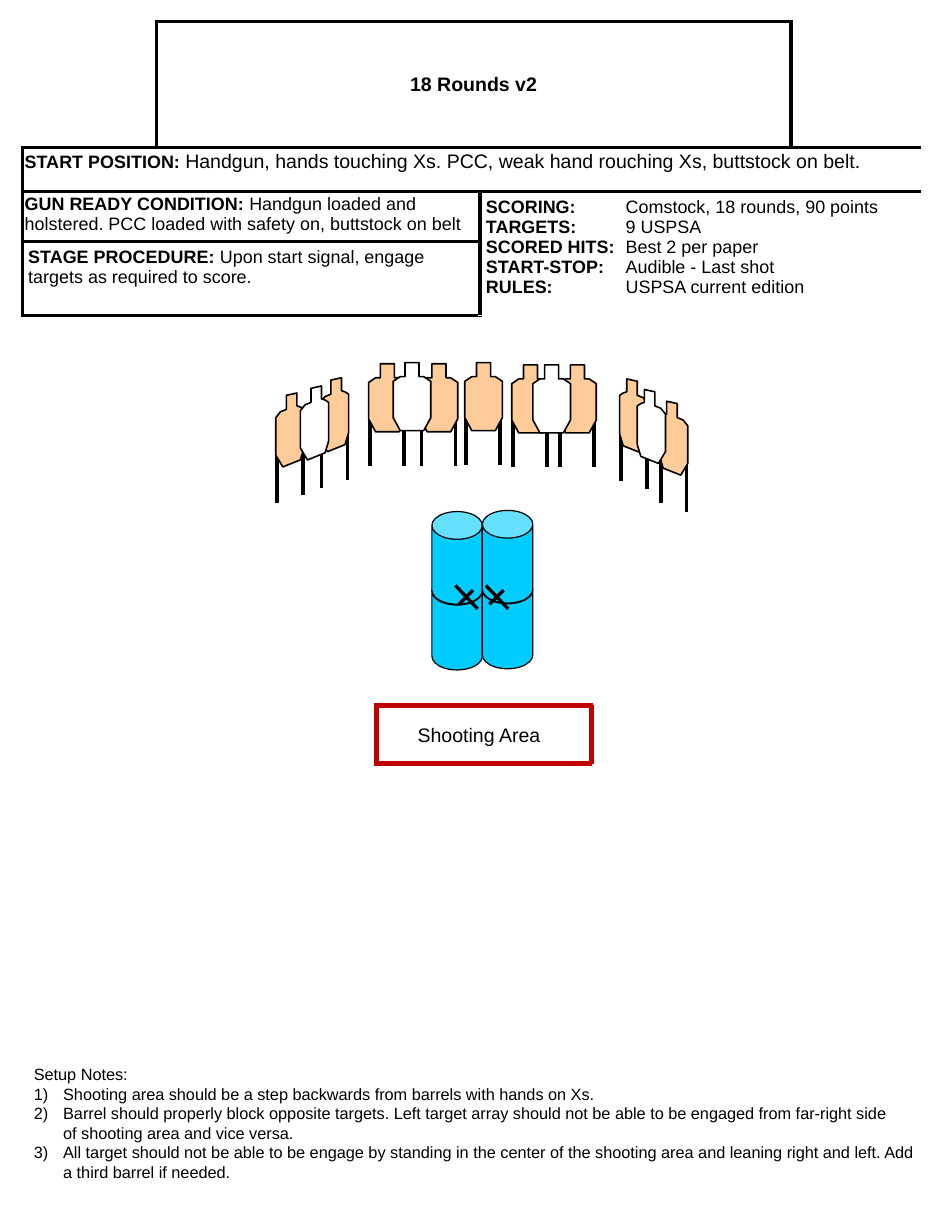
from dataclasses import dataclass

from lxml import etree
from pptx import Presentation
from pptx.dml.color import RGBColor
from pptx.enum.shapes import MSO_CONNECTOR, MSO_SHAPE
from pptx.enum.text import MSO_ANCHOR, PP_ALIGN
from pptx.oxml.ns import qn
from pptx.util import Pt

STRAIGHT = MSO_CONNECTOR.STRAIGHT
CAN = MSO_SHAPE.CAN
MIDDLE, TOP = MSO_ANCHOR.MIDDLE, MSO_ANCHOR.TOP
CENTER, LEFT = PP_ALIGN.CENTER, PP_ALIGN.LEFT
PX = 9144


@dataclass(frozen=True)
class Theme:
    """Colours, font and type sizes of the stage sheet."""
    ink: str = "000000"
    paper: str = "FFFFFF"
    cardboard: str = "FFCC99"
    barrel: str = "00CCFF"
    boundary: str = "C00000"
    font: str = "Arial"
    large: int = 12
    body: int = 11
    note: int = 10
    border: float = 2.25


class StageSheet:
    """Draws stage elements on one slide in a given theme."""

    def __init__(self, slide, theme):
        """Keep the slide and its theme."""
        self.slide = slide
        self.theme = theme

    def style_run(self, run, size, bold=False):
        """Set the font of a run."""
        run.font.name = self.theme.font
        run.font.size = Pt(size)
        run.font.bold = bold
        run.font.color.rgb = RGBColor.from_string(self.theme.ink)

    def outline(self, shape, fill, width):
        """Give a shape a flat fill and an ink outline."""
        shape.shadow.inherit = False
        shape.fill.solid()
        shape.fill.fore_color.rgb = RGBColor.from_string(fill)
        shape.line.color.rgb = RGBColor.from_string(self.theme.ink)
        shape.line.width = Pt(width)

    def line(self, x1, y1, x2, y2, color, width):
        """Draw a straight line."""
        ends = [value * PX for value in (x1, y1, x2, y2)]
        connector = self.slide.shapes.add_connector(STRAIGHT, *ends)
        connector.line.color.rgb = RGBColor.from_string(color)
        connector.line.width = Pt(width)
        properties = connector._element.find(qn("p:spPr"))
        etree.SubElement(properties, qn("a:effectLst"))

    def silhouette(self, x, y, outline, fill):
        """Draw a target outline with its corner at x, y."""
        points = [(x + dx, y + dy) for dx, dy in outline]
        builder = self.slide.shapes.build_freeform(*points[0], scale=PX)
        builder.add_line_segments(points[1:], close=True)
        self.outline(builder.convert_to_shape(), fill, 1)

    def target(self, x, y, outline, legs):
        """Draw a cardboard target standing on two legs."""
        for dx, top, bottom in legs:
            self.line(x + dx, y + top, x + dx, y + bottom,
                      self.theme.ink, self.theme.border)
        self.silhouette(x, y, outline, self.theme.cardboard)

    def barrel(self, x, y, width, height):
        """Draw one barrel."""
        can = self.slide.shapes.add_shape(
            CAN, x * PX, y * PX, width * PX, height * PX)
        can.adjustments[0] = 0.55
        self.outline(can, self.theme.barrel, 0.75)

    def text(self, x, y, width, height, lines, size, numbered=False):
        """Place unwrapped lines, numbering all but the first on request."""
        box = self.slide.shapes.add_textbox(
            x * PX, y * PX, width * PX, height * PX)
        frame = box.text_frame
        frame.word_wrap = False
        frame.text = "\n".join(lines)
        for index, paragraph in enumerate(frame.paragraphs):
            if numbered and index:
                properties = paragraph._p.get_or_add_pPr()
                properties.set("marL", str(25 * PX))
                properties.set("indent", str(-25 * PX))
                etree.SubElement(properties, qn("a:buFont"), typeface="+mj-lt")
                etree.SubElement(properties, qn("a:buAutoNum"), type="arabicParenR")
            for run in paragraph.runs:
                self.style_run(run, size)

    def table(self, x, y, columns, rows):
        """Add a plain table with the given column widths and row heights."""
        table = self.slide.shapes.add_table(
            len(rows), len(columns), x * PX, y * PX,
            sum(columns) * PX, sum(rows) * PX).table
        table.first_row = table.horz_banding = False
        for column, width in zip(table.columns, columns):
            column.width = width * PX
        for row, height in zip(table.rows, rows):
            row.height = height * PX
        return table

    def border(self, cell, sides):
        """Rule the named sides of a cell and paint it."""
        properties = cell._tc.get_or_add_tcPr()
        for side in "LRTB":
            if side in sides:
                rule = etree.SubElement(properties, qn(f"a:ln{side}"),
                                        w=str(Pt(self.theme.border)))
                fill = etree.SubElement(rule, qn("a:solidFill"))
                etree.SubElement(fill, qn("a:srgbClr"), val=self.theme.ink)
        cell.fill.solid()
        cell.fill.fore_color.rgb = RGBColor.from_string(self.theme.paper)

    def cell(self, table, row, column, spans, lines=(), inset=(5, 5), sides="LRTB",
             anchor=TOP, align=LEFT, spacing=None, tab=None):
        """Merge a block of cells, rule its edge and write (text, size, bold) lines."""
        bottom, right = row + spans[0] - 1, column + spans[1] - 1
        for r in range(row, bottom + 1):
            for c in range(column, right + 1):
                edges = {"L": c == column, "R": c == right,
                         "T": r == row, "B": r == bottom}
                self.border(table.cell(r, c), [s for s in sides if edges[s]])
        cell = table.cell(row, column)
        if spans != (1, 1):
            cell.merge(table.cell(bottom, right))
        cell.margin_left = cell.margin_right = inset[0] * PX
        cell.margin_top = cell.margin_bottom = inset[1] * PX
        cell.vertical_anchor = anchor
        for index, runs in enumerate(lines):
            frame = cell.text_frame
            paragraph = frame.add_paragraph() if index else frame.paragraphs[0]
            if tab:
                stops = etree.SubElement(paragraph._p.get_or_add_pPr(), qn("a:tabLst"))
                etree.SubElement(stops, qn("a:tab"), pos=str(tab * PX), algn="l")
            paragraph.alignment = align
            paragraph.line_spacing = spacing
            for content, size, bold in runs:
                run = paragraph.add_run()
                run.text = content
                self.style_run(run, size, bold)


def main():
    """Build the stage sheet."""
    deck = Presentation()
    deck.slide_width, deck.slide_height = 800 * PX, 1050 * PX
    theme = Theme()
    sheet = StageSheet(deck.slides.add_slide(deck.slide_layouts[6]), theme)
    body, large = theme.body, theme.large

    briefing = sheet.table(19, 18, (114, 276, 265, 110), (108, 37, 43, 63))
    sheet.cell(briefing, 0, 0, (1, 1), sides="RB")
    sheet.cell(briefing, 0, 1, (1, 2), [[("18 Rounds v2", large, True)]],
               anchor=MIDDLE, align=CENTER)
    sheet.cell(briefing, 0, 3, (1, 1), sides="LB")
    sheet.cell(briefing, 1, 0, (1, 4), [[
        ("START POSITION: ", body, True),
        ("Handgun, hands touching Xs. PCC, weak hand rouching Xs, buttstock on belt.",
         large, False)]], inset=(2, 4), spacing=0.9)
    sheet.cell(briefing, 2, 0, (1, 2), [[
        ("GUN READY CONDITION: ", body, True),
        ("Handgun loaded and holstered. PCC loaded with safety on, buttstock on belt",
         body, False)]], inset=(2, 3))
    scoring = (("SCORING:", "Comstock, 18 rounds, 90 points"), ("TARGETS:", "9 USPSA"),
               ("SCORED HITS:", "Best 2 per paper"), ("START-STOP:", "Audible - Last shot"),
               ("RULES:", "USPSA current edition"))
    sheet.cell(briefing, 2, 2, (2, 2),
               [[(label, body, True), ("\t" + value, body, False)]
                for label, value in scoring], tab=119)
    sheet.cell(briefing, 3, 0, (1, 2), [[
        ("STAGE PROCEDURE: ", body, True),
        ("Upon start signal, engage targets as required to score.", body, False)]])

    upright = ((10, 0), (22, 0), (22, 12), (26, 12), (32, 16), (32, 47),
               (26, 58), (6, 58), (0, 47), (0, 16), (6, 12), (10, 12))
    left_tilt = ((9, 2), (18, 0), (18, 11), (21, 12), (24, 14), (24, 47),
                 (21, 57), (6, 63), (0, 53), (0, 21), (4, 16), (9, 14))
    right_tilt = [(24 - dx, dy) for dx, dy in left_tilt]
    upright_legs = ((1, 43, 87), (30, 43, 87))
    left_legs = ((1, 51, 94), (23, 44, 87))
    right_legs = [(24 - dx, top, bottom) for dx, top, bottom in left_legs]
    arrays = ((upright, upright_legs, ((396, 309), (476, 311), (314, 310),
                                       (436, 311), (358, 310))),
              (left_tilt, left_legs, ((235, 335), (273, 322))),
              (right_tilt, right_legs, ((562, 342), (528, 323))))
    for outline, legs, places in arrays:
        for x, y in places:
            sheet.target(x, y, outline, legs)
    for x, y, outline in ((256, 329, left_tilt), (543, 332, right_tilt),
                          (335, 309, upright), (454, 311, upright)):
        sheet.silhouette(x, y, outline, theme.paper)

    for x, y in ((368, 436), (411, 435)):
        for drop in (56, 0):
            sheet.barrel(x, y + drop, 43, 79)
    for x in (388, 414):
        sheet.line(x + 19, 519, x, 499, theme.ink, 2)
        sheet.line(x + 15, 503, x + 3, 515, theme.ink, 2)

    for ends in ((504, 651, 504, 601), (319, 601, 505, 601),
                 (319, 651, 504, 651), (321, 651, 321, 599)):
        sheet.line(*ends, theme.boundary, 3)
    sheet.text(346, 611, 126, 30, ["Shooting Area"], large)

    sheet.text(19, 902, 774, 111, [
        "Setup Notes:",
        "Shooting area should be a step backwards from barrels with hands on Xs.",
        "Barrel should properly block opposite targets. Left target array should not be "
        "able to be engaged from far-right side\vof shooting area and vice versa.",
        "All target should not be able to be engage by standing in the center of the "
        "shooting area and leaning right and left. Add\va third barrel if needed.",
    ], theme.note, numbered=True)
    deck.save("out.pptx")


if __name__ == "__main__":
    main()
